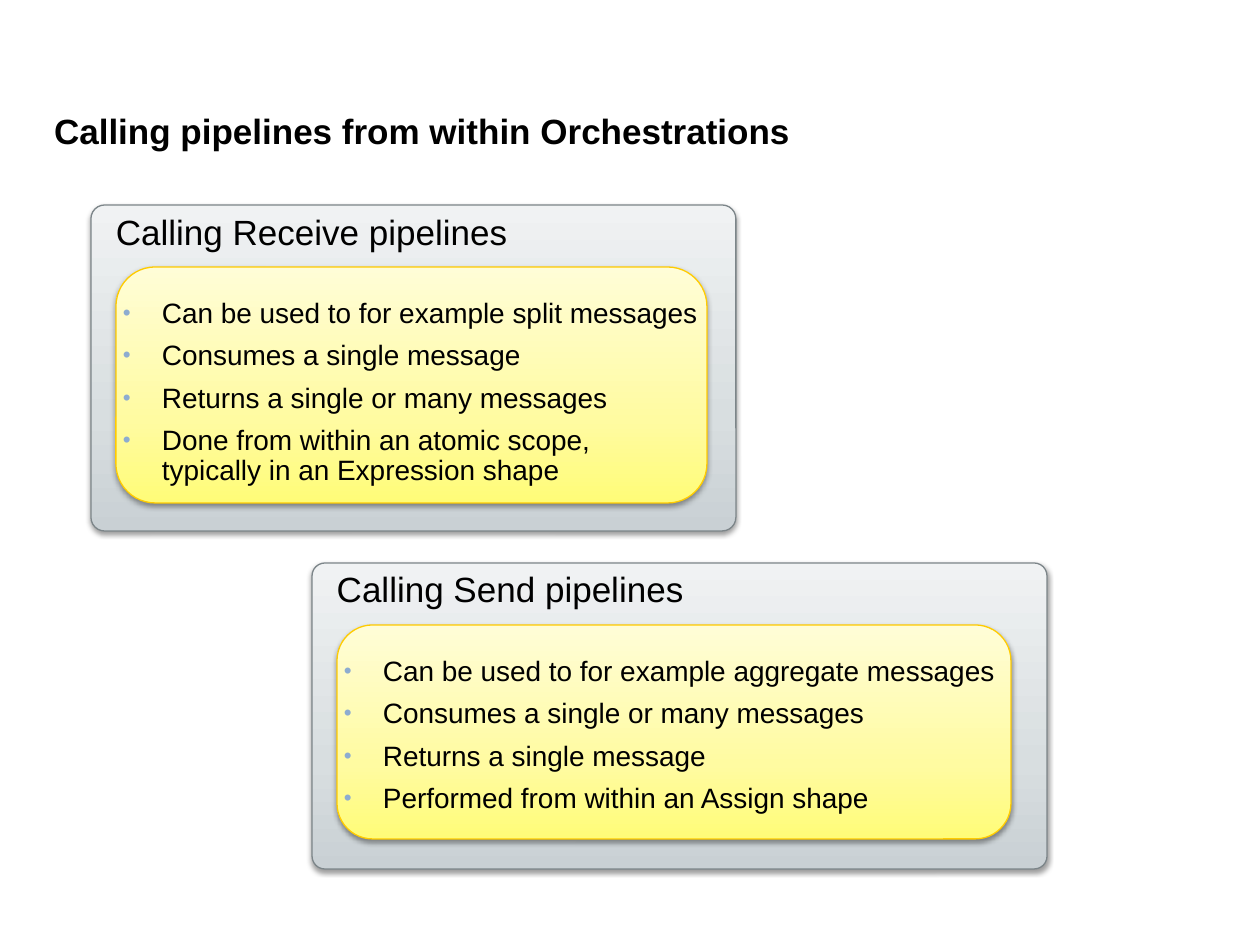
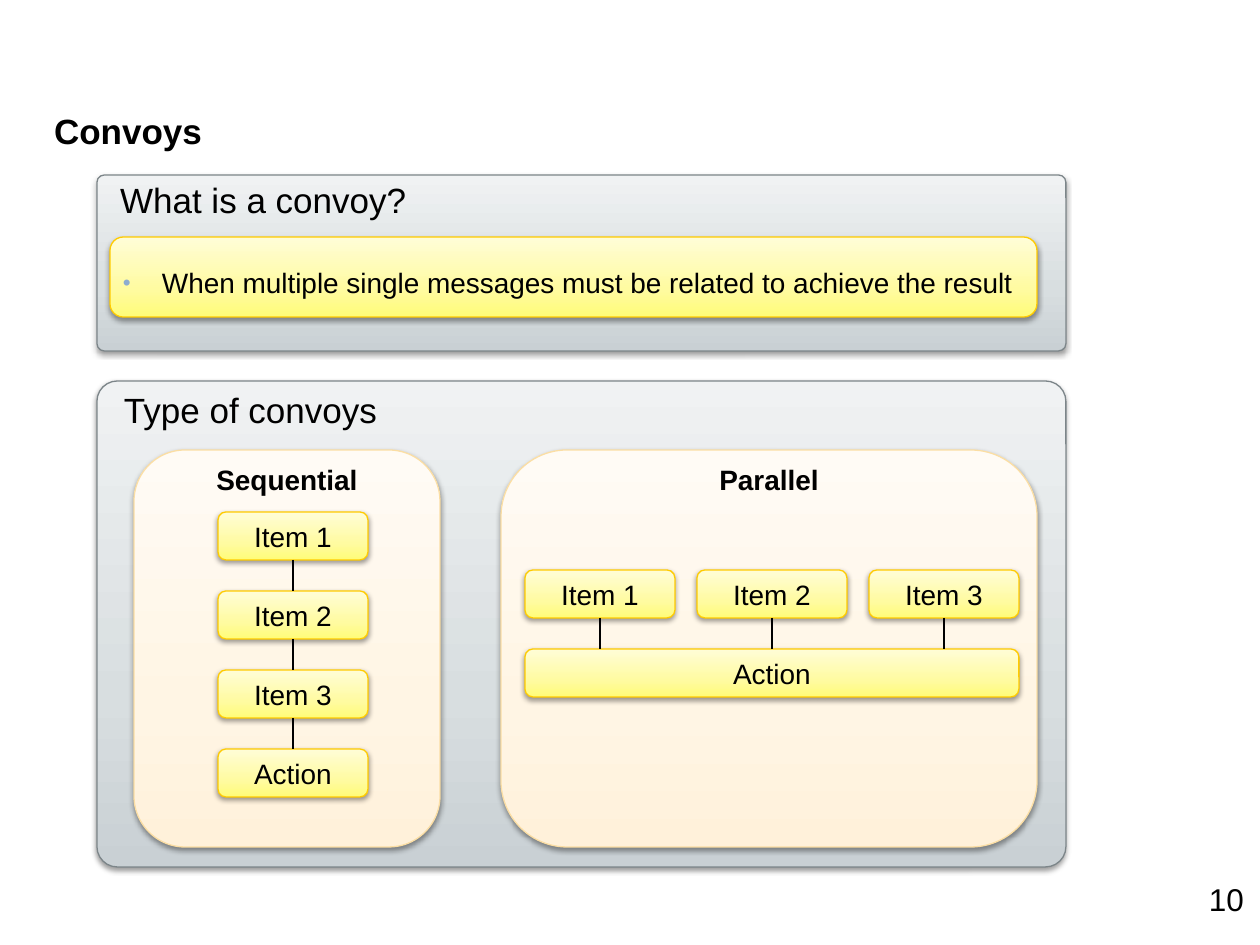
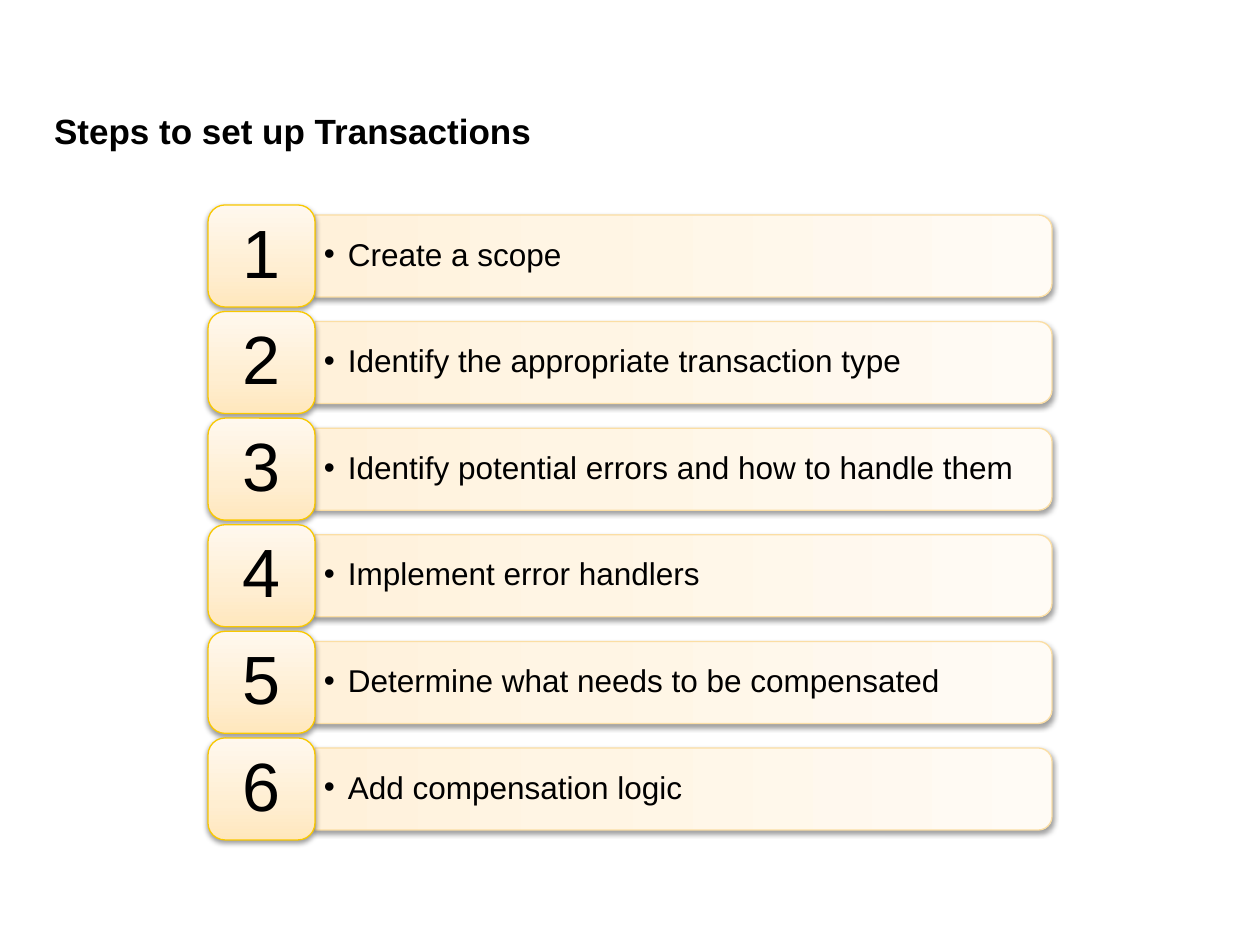
from copy import deepcopy
from pptx import Presentation
from pptx import util as u
from pptx.dml import color
from pptx.enum import shapes, text
from pptx.oxml import parse_xml, ns

FONT = "Arial"
COLORS = {"ink": "000000", "dot": "8DACD0"}
SKINS = {
    "grey": ("C9D0D4", "D8DEE0", "F0F2F3", "7C8589"),
    "yellow": ("FFFC78", "FFFBA1", "FFFDD7", "FFCB00"),
    "cream": ("FFF1DA", "FFF5E4", "FFFBF5", "FBDEA4"),
    "peach": ("FFE7BD", "FFEED1", "FFF8EE", "F9C800"),
}
STOPS = (0, 0.35, 1)
ROUND = shapes.MSO_SHAPE.ROUNDED_RECTANGLE
TAB = shapes.MSO_SHAPE.ROUND_2_SAME_RECTANGLE
LEFT, CENTER = text.PP_ALIGN.LEFT, text.PP_ALIGN.CENTER
TOP, MIDDLE = text.MSO_ANCHOR.TOP, text.MSO_ANCHOR.MIDDLE
ITEMS = ["Item 1", "Item 2", "Item 3"]


def px(n):
    return u.Emu(round(n * 914400 / 126))


def rgb(code):
    return color.RGBColor.from_string(code)


def element(tag, body="", **attrs):
    pairs = " ".join(f'{k}="{v}"' for k, v in attrs.items())
    return parse_xml(f'<a:{tag} {ns.nsdecls("a")} {pairs}>{body}</a:{tag}>')


def write(shape, lines, size=16, bold=False, align=LEFT, anchor=TOP,
          inset=(13, 6), indent=0, hang=0, dot=None, line=0.9, gap=7):
    frame = shape.text_frame
    frame.word_wrap = True
    frame.vertical_anchor = anchor
    frame.margin_left = frame.margin_right = px(inset[0])
    frame.margin_top = frame.margin_bottom = px(inset[1])
    for i, words in enumerate(lines):
        para = frame.add_paragraph() if i else frame.paragraphs[0]
        para.text = words
        props = para._p.get_or_add_pPr()
        if indent or hang:
            props.set("marL", str(px(indent + hang)))
            props.set("indent", str(px(-hang)))
        if hang:
            if dot:
                props.append(element("buClr", f'<a:srgbClr val="{dot}"/>'))
                props.append(element("buSzPct", val=80000))
            props.append(element("buFont", typeface=FONT))
            props.append(element("buChar", char="•"))
        para.alignment = align
        para.line_spacing = line
        if i:
            para.space_before = u.Pt(gap)
        for run in para.runs:
            run.font.name = FONT
            run.font.size = u.Pt(size)
            run.font.bold = bold
            run.font.color.rgb = rgb(COLORS["ink"])


def label(slide, box, lines, **look):
    shape = slide.shapes.add_textbox(*map(px, box))
    write(shape, lines, **look)
    return shape


def block(slide, box, skin, kind=ROUND, curve=None):
    shape = slide.shapes.add_shape(kind, *map(px, box))
    if curve:
        shape.adjustments[0] = curve
    *shades, edge = SKINS[skin]
    fill = shape.fill
    fill.gradient()
    fill.gradient_angle = 90
    first = shape._element.spPr.find(".//" + ns.qn("a:gs"))
    first.addnext(deepcopy(first))
    for stop, spot, shade in zip(fill.gradient_stops, STOPS, shades):
        stop.position = spot
        stop.color.rgb = rgb(shade)
    shape.line.color.rgb = rgb(edge)
    shape.line.width = u.Pt(0.75)
    shape.shadow.inherit = False
    tint = f'<a:srgbClr val="{COLORS["ink"]}"><a:alpha val="38000"/></a:srgbClr>'
    shape._element.spPr.find(ns.qn("a:effectLst")).append(element(
        "outerShdw", tint, blurRad=u.Pt(3.1), dist=u.Pt(1.6),
        dir=5400000, rotWithShape=0))
    return shape


def panel(slide, box, name):
    shape = block(slide, box, "grey", curve=0.042)
    write(shape, [name], size=20, indent=8)


def card(slide, box, lines, shift=0, extra=0):
    x, y, w, h = box
    block(slide, box, "yellow")
    label(slide, (x - shift, y + 26, w + extra, h - 26), lines,
          hang=39, dot=COLORS["dot"])


def node(slide, box, name):
    shape = block(slide, box, "yellow")
    write(shape, [name], align=CENTER, anchor=MIDDLE, inset=(0, 0), line=1)
    return shape


def link(slide, high, low, join=True):
    mid = high.left + high.width // 2
    line = slide.shapes.add_connector(
        shapes.MSO_CONNECTOR.STRAIGHT, mid, high.top + high.height, mid, low.top)
    line.begin_connect(high, 2)
    if join:
        line.end_connect(low, 0)
    line.line.color.rgb = rgb(COLORS["ink"])
    line.line.width = u.Pt(0.75)
    line._element.spPr.append(element("effectLst"))


def group(slide, box, name):
    x, y, w, h = box
    block(slide, box, "cream")
    label(slide, (x, y + 10, w, 43), [name], bold=True, align=CENTER)


def series(slide, box):
    x, y, w, h = box
    group(slide, box, "Sequential")
    nodes = [node(slide, (x + 84, y + 62 + 79 * i, 150, 48), name)
             for i, name in enumerate(ITEMS + ["Action"])]
    for high, low in zip(nodes, nodes[1:]):
        link(slide, high, low)


def fan(slide, box):
    x, y, w, h = box
    group(slide, box, "Parallel")
    nodes = [node(slide, (x + 24 + 172 * i, y + 120, 150, 48), name)
             for i, name in enumerate(ITEMS)]
    action = node(slide, (x + 24, y + 199, 494, 48), "Action")
    for i, high in enumerate(nodes):
        link(slide, high, action, join=i == 1)


def step(slide, box, number, words):
    x, y, w, h = box
    long, thick = w - 107, 82
    left, top = x + 107, y + (h - thick) / 2
    bar = block(slide, (left + (long - thick) / 2, top - (long - thick) / 2,
                        thick, long), "cream", kind=TAB)
    bar.rotation = 90
    label(slide, (left, top + 4, long - 4, thick - 8), [words], size=18,
          anchor=MIDDLE, inset=(9, 5), hang=24)
    badge = block(slide, (x, y, 107, h), "peach")
    write(badge, [str(number)], size=39, align=CENTER, anchor=MIDDLE, inset=(0, 0))


def page(deck, title):
    slide = deck.slides.add_slide(deck.slide_layouts[6])
    label(slide, (54, 106, 1152, 49), [title], size=20, bold=True,
          anchor=MIDDLE, inset=(0, 0), line=1)
    return slide


def calls(deck):
    slide = page(deck, "Calling pipelines from within Orchestrations")
    parts = [
        ((91, 205, 645, 326), 591, 236, "Calling Receive pipelines", [
            "Can be used to for example split messages",
            "Consumes a single message",
            "Returns a single or many messages",
            "Done from within an atomic scope,\vtypically in an Expression shape"]),
        ((312, 563, 735, 306), 674, 214, "Calling Send pipelines", [
            "Can be used to for example aggregate messages",
            "Consumes a single or many messages",
            "Returns a single message",
            "Performed from within an Assign shape"]),
    ]
    for box, w, h, name, lines in parts:
        panel(slide, box, name)
        card(slide, (box[0] + 25, box[1] + 62, w, h), lines, shift=6, extra=18)


def convoys(deck):
    slide = page(deck, "Convoys")
    label(slide, (1196, 874, 64, 50), ["10"], size=18, line=1)
    x, y, w = 97, 175, 969
    panel(slide, (x, y, w, 176), "What is a convoy?")
    card(slide, (x + 13, y + 62, 927, 80),
         ["When multiple single messages must be related to achieve the result"])
    y = 381
    panel(slide, (x, y, w, 486), "Type of convoys")
    series(slide, (x + 37, y + 69, 306, 397))
    fan(slide, (x + 404, y + 69, 536, 397))


def steps(deck):
    slide = page(deck, "Steps to set up Transactions")
    x, y, w, h, tall = 208, 205, 844, 635, 102
    words = [
        "Create a scope",
        "Identify the appropriate transaction type",
        "Identify potential errors and how to handle them",
        "Implement error handlers",
        "Determine what needs to be compensated",
        "Add compensation logic",
    ]
    pitch = (h - tall) / (len(words) - 1)
    for i, line in enumerate(words):
        step(slide, (x, y + pitch * i, w, tall), i + 1, line)


def main():
    deck = Presentation()
    deck.slide_width, deck.slide_height = px(1260), px(945)
    calls(deck)
    convoys(deck)
    steps(deck)
    deck.save("out.pptx")


if __name__ == "__main__":
    main()
